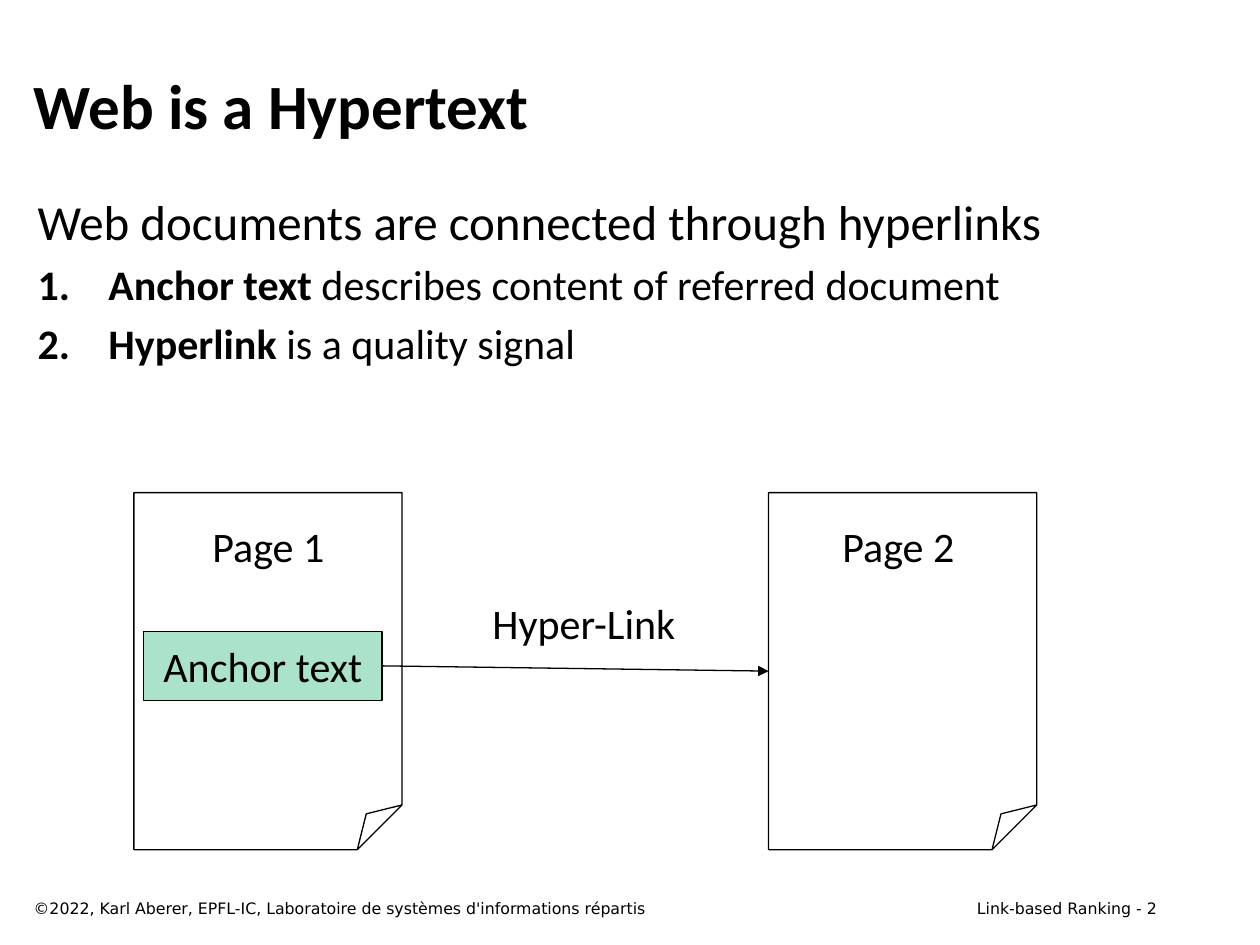
"""Build the slide "Web is a Hypertext" with two linked pages."""
import dataclasses

import lxml.etree
import pptx
import pptx.dml.color
import pptx.enum.shapes
import pptx.enum.text
import pptx.oxml.ns
import pptx.util

Pt = pptx.util.Pt
Align = pptx.enum.text.PP_ALIGN
Anchor = pptx.enum.text.MSO_ANCHOR
Shape = pptx.enum.shapes.MSO_SHAPE
qn = pptx.oxml.ns.qn


@dataclasses.dataclass(frozen=True)
class Theme:
    ink: pptx.dml.color.RGBColor = pptx.dml.color.RGBColor(0, 0, 0)
    mint: pptx.dml.color.RGBColor = pptx.dml.color.RGBColor(0xAA, 0xE2, 0xCA)
    font: str = "Calibri"
    footer_font: str = "DejaVu Sans"
    title: int = 36
    lead: int = 28
    text: int = 24
    footer: int = 9
    line: float = 0.75


theme = Theme()


def style(para, size, align=Align.LEFT, name=theme.font):
    para.alignment = align
    para.font.name = name
    para.font.size = Pt(size)
    para.font.color.rgb = theme.ink


def add_text(text, area, size, align=Align.LEFT, name=theme.font, wrap=True):
    box = page.shapes.add_textbox(*map(Pt, area))
    box.text_frame.word_wrap = wrap
    box.text_frame.text = text
    style(box.text_frame.paragraphs[0], size, align, name)
    return box.text_frame


deck = pptx.Presentation()
deck.slide_width, deck.slide_height = Pt(720), Pt(540)
page = deck.slides.add_slide(deck.slide_layouts[6])

for text, left, width, align in (
    ("Link-based Ranking - 2", 458.6, 209.5, Align.RIGHT),
    ("©2022, Karl Aberer, EPFL-IC, Laboratoire de systèmes d'informations répartis", 12.2, 462.2, Align.LEFT),
):
    add_text(text, (left, 509.8, width, 18), theme.footer, align, theme.footer_font)

title = add_text("Web is a Hypertext", (12.2, 23.8, 653.8, 72), theme.title)
title.vertical_anchor = Anchor.MIDDLE
title.paragraphs[0].font.bold = True

body = add_text("Web documents are connected through hyperlinks", (14.4, 105.8, 653.8, 396), theme.lead)
body.paragraphs[0].space_before = Pt(theme.lead * 0.2)
for term, rest in (
    ("Anchor text ", "describes content of referred document"),
    ("Hyperlink", " is a quality signal"),
):
    para = body.add_paragraph()
    style(para, theme.text)
    para.space_before = Pt(theme.text * 0.2)
    for text, bold in ((term, True), (rest, False)):
        span = para.add_run()
        span.text = text
        span.font.bold = bold
    properties = para._p.get_or_add_pPr()
    properties.set("marL", str(Pt(40.5)))
    properties.set("indent", str(Pt(-40.5)))
    number = lxml.etree.Element(qn("a:buAutoNum"), type="arabicPeriod")
    properties.find(qn("a:spcBef")).addnext(number)

sheet, source, target = [
    page.shapes.add_shape(kind, *map(Pt, area))
    for kind, area in (
        (Shape.FOLDED_CORNER, (76.5, 281.5, 153.2, 204)),
        (Shape.RECTANGLE, (82, 360.8, 136.4, 39.4)),
        (Shape.FOLDED_CORNER, (439.2, 281.5, 153.2, 204)),
    )
]
for shape in (sheet, source, target):
    shape.shadow.inherit = False
    shape.fill.background()
    shape.line.color.rgb = theme.ink
    shape.line.width = Pt(theme.line)
source.fill.solid()
source.fill.fore_color.rgb = theme.mint
source.text_frame.text = "Anchor text"
source.text_frame.vertical_anchor = Anchor.MIDDLE
style(source.text_frame.paragraphs[0], theme.text, Align.CENTER)

arrow = page.shapes.add_connector(pptx.enum.shapes.MSO_CONNECTOR.STRAIGHT, 0, 0, 0, 0)
arrow.begin_connect(source, 3)
arrow.end_connect(target, 1)
arrow.line.color.rgb = theme.ink
arrow.line.width = Pt(theme.line)
lxml.etree.SubElement(arrow.line._get_or_add_ln(), qn("a:tailEnd"), type="triangle")
lxml.etree.SubElement(arrow._element.spPr, qn("a:effectLst"))

for text, left, top, width in (
    ("Page 1", 113.8, 293.8, 79.2),
    ("Page 2", 473.8, 293.8, 79.2),
    ("Hyper-Link", 273.6, 337.7, 120.2),
):
    label = add_text(text, (left, top, width, 36), theme.text, Align.CENTER, wrap=False)
    label.auto_size = pptx.enum.text.MSO_AUTO_SIZE.SHAPE_TO_FIT_TEXT

deck.save("out.pptx")
